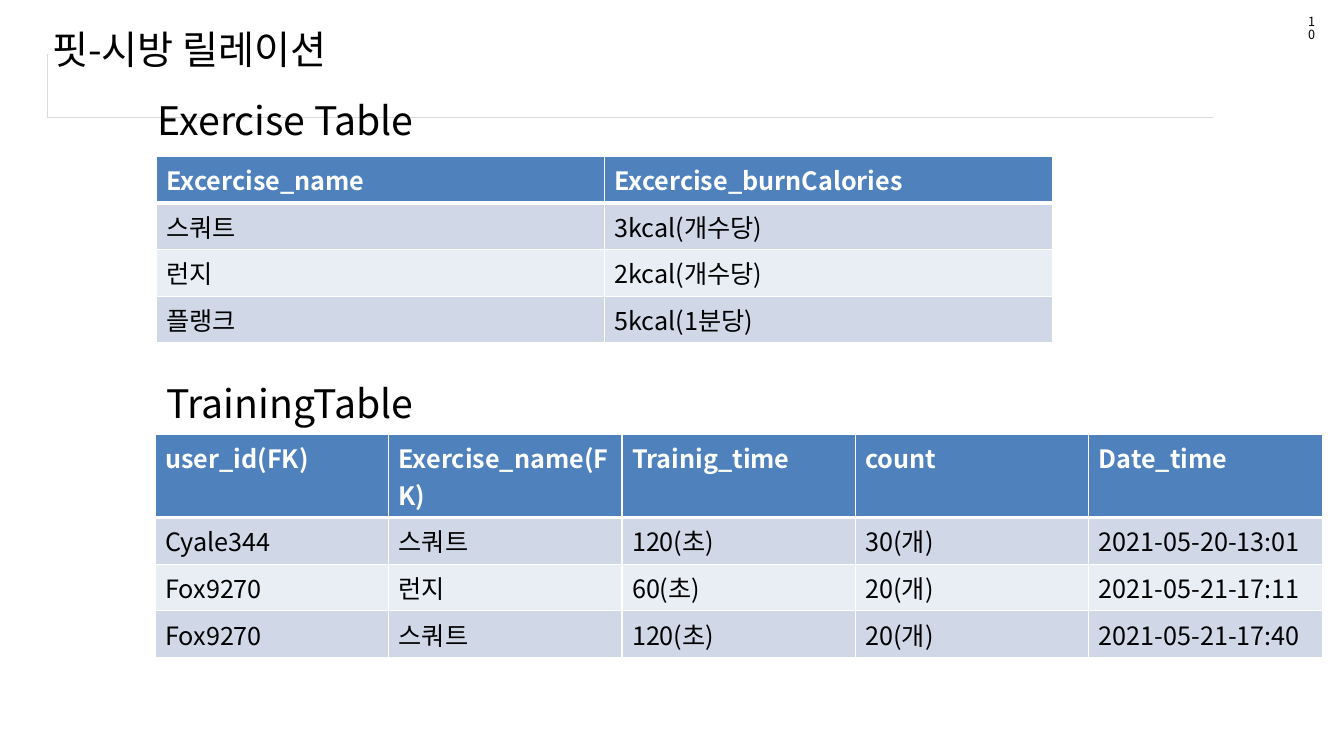
from lxml.etree import SubElement
from pptx import Presentation
from pptx.dml.color import RGBColor
from pptx.enum.text import MSO_ANCHOR
from pptx.oxml.ns import qn
from pptx.util import Cm, Pt

FONT = "Noto Sans CJK KR"
COLORS = {
    "text": "000000",
    "white": "FFFFFF",
    "header": "4F81BD",
    "band_dark": "D0D8E8",
    "band_light": "E9EDF4",
    "frame": "D9D9D9",
}


def add_run(p, text, size, color="text", bold=False):
    r = p.add_run()
    r.text = text
    r.font.size = Pt(size)
    r.font.bold = bold
    r.font.name = FONT
    r.font.color.rgb = RGBColor.from_string(COLORS[color])
    SubElement(r.font._element, qn("a:ea"), typeface=FONT)


def set_borders(cell, color, widths):
    tcPr = cell._tc.get_or_add_tcPr()
    for side, width in widths.items():
        ln = SubElement(tcPr, qn(f"a:ln{side}"), w=str(Pt(width)))
        fill = SubElement(ln, qn("a:solidFill"))
        SubElement(fill, qn("a:srgbClr"), val=COLORS[color])


prs = Presentation()
prs.slide_width, prs.slide_height = Cm(33.87), Cm(19.05)
s = prs.slides.add_slide(prs.slide_layouts[6])

frame = s.shapes.add_table(1, 1, Cm(1.19), Cm(1.37), Cm(29.36), Cm(1.58)).table
frame.first_row = frame.horz_banding = False
set_borders(frame.cell(0, 0), "frame", {"L": 0.25, "B": 0.25})
frame.cell(0, 0).fill.background()

tables = [
    (3.94, 3.94, 22.58, [
        ["Excercise_name", "Excercise_burnCalories"],
        ["스쿼트", "3kcal(개수당)"],
        ["런지", "2kcal(개수당)"],
        ["플랭크", "5kcal(1분당)"],
    ]),
    (3.91, 10.95, 29.41, [
        ["user_id(FK)", "Exercise_name(FK)", "Trainig_time", "count", "Date_time"],
        ["Cyale344", "스쿼트", "120(초)", "30(개)", "2021-05-20-13:01"],
        ["Fox9270", "런지", "60(초)", "20(개)", "2021-05-21-17:11"],
        ["Fox9270", "스쿼트", "120(초)", "20(개)", "2021-05-21-17:40"],
    ]),
]
for left, top, width, rows in tables:
    table = s.shapes.add_table(
        len(rows), len(rows[0]), Cm(left), Cm(top), Cm(width), Cm(1.03 * len(rows))
    ).table
    for i, row in enumerate(rows):
        header = i == 0
        band = "header" if header else "band_dark" if i % 2 else "band_light"
        widths = {"L": 1, "R": 1, "T": 3 if i == 1 else 1, "B": 3 if header else 1}
        for j, text in enumerate(row):
            cell = table.cell(i, j)
            set_borders(cell, "white", widths)
            cell.fill.solid()
            cell.fill.fore_color.rgb = RGBColor.from_string(COLORS[band])
            color = "white" if header else "text"
            add_run(cell.text_frame.paragraphs[0], text, 18, color, header)

headings = [
    ("핏-시방 릴레이션", 1.07, 0.38, 31.72),
    ("Exercise Table", 3.73, 2.18, 6.99),
    ("TrainingTable", 3.94, 9.3, 6.99),
]
for text, left, top, width in headings:
    tf = s.shapes.add_textbox(Cm(left), Cm(top), Cm(width), Cm(1.7)).text_frame
    tf.word_wrap = True
    tf.vertical_anchor = MSO_ANCHOR.MIDDLE
    add_run(tf.paragraphs[0], text, 28)

tf = s.shapes.add_textbox(Cm(32.72), Cm(0.3), Cm(0.69), Cm(0.64)).text_frame
tf.word_wrap = True
p = tf.paragraphs[0]
p.line_spacing = 0.83
add_run(p, "10", 9)

prs.save("out.pptx")
